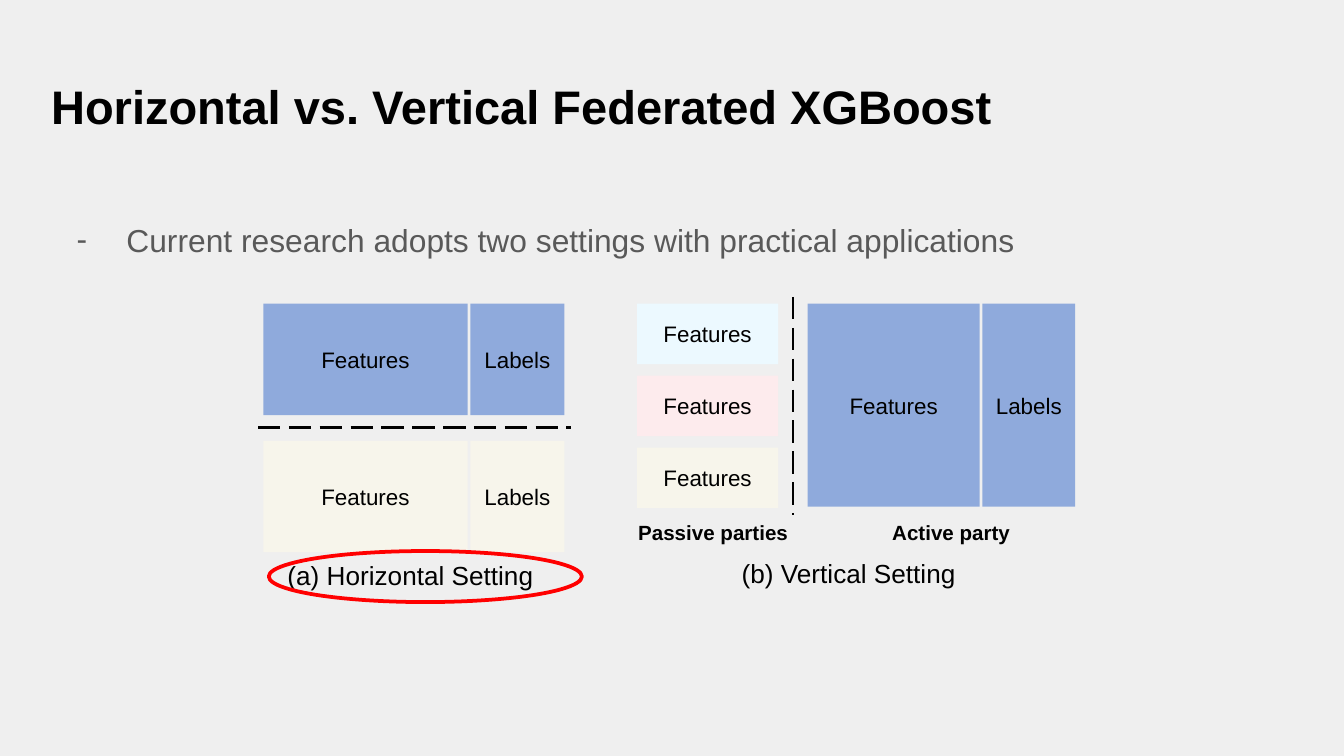
from lxml import etree
from pptx import Presentation
from pptx.dml.color import RGBColor
from pptx.enum.dml import MSO_LINE
from pptx.enum.shapes import MSO_CONNECTOR, MSO_SHAPE
from pptx.enum.text import MSO_ANCHOR, MSO_AUTO_SIZE, PP_ALIGN
from pptx.oxml.ns import qn
from pptx.util import Inches, Pt

BACKGROUND = RGBColor(0xEF, 0xEF, 0xEF)
BLACK = RGBColor(0x00, 0x00, 0x00)
GRAY = RGBColor(0x59, 0x59, 0x59)
BLUE = RGBColor(0x8F, 0xAA, 0xDC)
CREAM = RGBColor(0xF7, 0xF5, 0xEB)
PINK = RGBColor(0xFD, 0xEB, 0xED)
PALE_BLUE = RGBColor(0xEC, 0xF9, 0xFF)
RED = RGBColor(0xFF, 0x00, 0x00)


class SlideBuilder:
    """Holds the font and the current slide; lengths are in inches."""

    font_name = "Arial"

    def __init__(self, slide):
        self.slide = slide
        slide.background.fill.solid()
        slide.background.fill.fore_color.rgb = BACKGROUND

    def style(self, paragraph, size, color=BLACK, bold=False):
        font = paragraph.font
        font.name = self.font_name
        font.size = Pt(size)
        font.bold = bold
        font.color.rgb = color

    def place(self, placeholder, box, text, anchor):
        """Move a placeholder, fill it and return its paragraph."""
        (placeholder.left, placeholder.top,
         placeholder.width, placeholder.height) = map(Inches, box)
        frame = placeholder.text_frame
        frame.margin_left = frame.margin_right = Inches(0.1)
        frame.margin_top = frame.margin_bottom = Inches(0.1)
        frame.auto_size = MSO_AUTO_SIZE.NONE
        frame.vertical_anchor = anchor
        frame.text = text
        paragraph = frame.paragraphs[0]
        paragraph.alignment = PP_ALIGN.LEFT
        paragraph.space_before = Pt(0)
        return paragraph

    def title(self, box, text):
        paragraph = self.place(self.slide.shapes.title, box, text, MSO_ANCHOR.BOTTOM)
        self.style(paragraph, 25.2, bold=True)

    def bullet(self, box, text):
        paragraph = self.place(self.slide.placeholders[1], box, text, MSO_ANCHOR.TOP)
        paragraph.line_spacing = 2.0
        properties = paragraph._p.get_or_add_pPr()
        properties.set("marL", str(Inches(0.5)))
        properties.set("indent", str(Inches(-0.37)))
        bullet_color = etree.SubElement(properties, qn("a:buClr"))
        etree.SubElement(bullet_color, qn("a:srgbClr"), val=str(GRAY))
        etree.SubElement(properties, qn("a:buChar"), char="-")
        self.style(paragraph, 17, GRAY)

    def block(self, box, text, color):
        block = self.slide.shapes.add_shape(MSO_SHAPE.RECTANGLE, *map(Inches, box))
        block.shadow.inherit = False
        block.fill.solid()
        block.fill.fore_color.rgb = color
        block.line.fill.background()
        frame = block.text_frame
        frame.margin_left = frame.margin_right = 0
        frame.vertical_anchor = MSO_ANCHOR.MIDDLE
        frame.text = text
        paragraph = frame.paragraphs[0]
        paragraph.alignment = PP_ALIGN.CENTER
        self.style(paragraph, 12)

    def divider(self, start, end):
        line = self.slide.shapes.add_connector(
            MSO_CONNECTOR.STRAIGHT, *map(Inches, start + end))
        line.line.color.rgb = BLACK
        line.line.width = Pt(1.5)
        line.line.dash_style = MSO_LINE.LONG_DASH
        etree.SubElement(line._element.spPr, qn("a:effectLst"))

    def caption(self, box, text, size, bold=False):
        frame = self.slide.shapes.add_textbox(*map(Inches, box)).text_frame
        frame.word_wrap = True
        frame.auto_size = MSO_AUTO_SIZE.SHAPE_TO_FIT_TEXT
        frame.text = text
        self.style(frame.paragraphs[0], size, bold=bold)

    def highlight(self, box):
        ring = self.slide.shapes.add_shape(MSO_SHAPE.OVAL, *map(Inches, box))
        ring.shadow.inherit = False
        ring.fill.background()
        ring.line.color.rgb = RED
        ring.line.width = Pt(2)


def main():
    presentation = Presentation()
    presentation.slide_width = Inches(10)
    presentation.slide_height = Inches(10 * 9 / 16)
    builder = SlideBuilder(
        presentation.slides.add_slide(presentation.slide_layouts[1]))

    builder.title((0.28, 0.47, 9.32, 0.63), "Horizontal vs. Vertical Federated XGBoost")
    builder.bullet((0.34, 1.26, 9.32, 0.85),
                   "Current research adopts two settings with practical applications")

    top = 2.26

    # Horizontal setting: each party holds features and labels
    builder.divider((1.92, 3.18), (4.25, 3.18))
    for row, color in enumerate((BLUE, CREAM)):
        y = top + row * 1.02
        builder.block((1.96, y, 1.52, 0.83), "Features", color)
        builder.block((3.5, y, 0.7, 0.83), "Labels", color)

    # Vertical setting: only the active party holds labels
    builder.divider((5.9, 2.21), (5.9, 3.83))
    builder.block((6.01, top, 1.28, 1.51), "Features", BLUE)
    builder.block((7.31, top, 0.69, 1.51), "Labels", BLUE)
    passive_step = (3.33 - top) / 2
    for row, color in enumerate((PALE_BLUE, PINK, CREAM)):
        builder.block((4.74, top + row * passive_step, 1.05, 0.45), "Features", color)

    builder.caption((2.04, 4.11, 2.66, 0.34), "(a) Horizontal Setting", 14)
    builder.caption((5.42, 4.1, 2.66, 0.34), "(b) Vertical Setting", 14)
    builder.caption((6.54, 3.82, 1.22, 0.29), "Active party", 11, bold=True)
    builder.caption((4.65, 3.82, 1.54, 0.29), "Passive parties", 11, bold=True)
    builder.highlight((2, 4.1, 2.33, 0.38))

    presentation.save("out.pptx")


if __name__ == "__main__":
    main()
